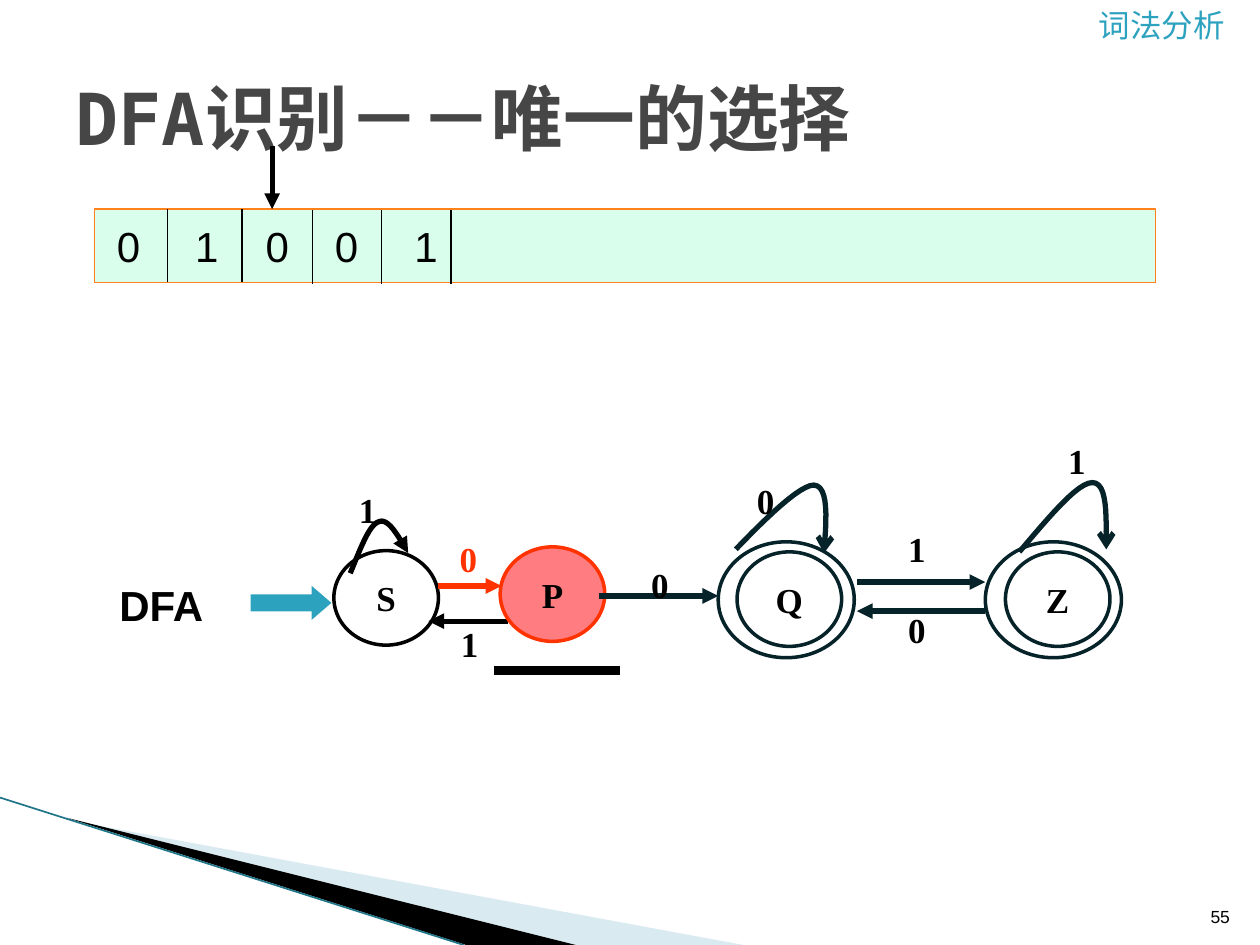
from lxml import etree
from pptx import Presentation
from pptx.dml.color import RGBColor
from pptx.enum.shapes import MSO_CONNECTOR, MSO_SHAPE
from pptx.enum.text import MSO_ANCHOR, PP_ALIGN
from pptx.oxml.ns import qn
from pptx.util import Inches, Pt

STRAIGHT = MSO_CONNECTOR.STRAIGHT
RECT, OVAL, ARROW = MSO_SHAPE.RECTANGLE, MSO_SHAPE.OVAL, MSO_SHAPE.RIGHT_ARROW
LEFT, CENTER, RIGHT = PP_ALIGN.LEFT, PP_ALIGN.CENTER, PP_ALIGN.RIGHT
TOP, MIDDLE, BOTTOM = MSO_ANCHOR.TOP, MSO_ANCHOR.MIDDLE, MSO_ANCHOR.BOTTOM
SANS, SERIF, MONO = "Arial", "Times New Roman", "DejaVu Sans Mono"
BLACK, INK, RED, TEAL, WHITE = "000000", "062329", "FF3300", "2DA2BF", "FFFFFF"

# Content: text, position, size, font, colour, bold, alignment, anchor
TEXTS = [
    ("词法分析", (8.62, 0, 1.38, 0.4), 18, SANS, TEAL, False, LEFT, TOP),
    ("55", (9.46, 7.01, 0.4, 0.4), 10, SANS, BLACK, False, RIGHT, BOTTOM),
    ("DFA识别－－唯一的选择", (0.5, 0.3, 9, 1.25), 41, MONO, "464646", True, LEFT, MIDDLE),
    ("DFA", (0.75, 4.55, 1.06, 0.5), 24, SANS, BLACK, True, CENTER, TOP),
]
# Tape: symbol, its left edge, the divider to its right and that divider's top
TAPE = [("0", 0.83, 1.33, 1.66), ("1", 1.45, 1.92, 1.66), ("0", 2.01, 2.48, 1.67),
        ("0", 2.56, 3.03, 1.67), ("1", 3.19, 3.58, 1.67)]
# States: name, left, top, fill, line, left of the outer ring if accepting
STATES = [("S", 2.65, 4.37, None, BLACK, None), ("P", 3.97, 4.34, "FF7C80", RED, None),
          ("Q", 5.85, 4.38, WHITE, INK, 5.70), ("Z", 7.98, 4.38, WHITE, INK, 7.82)]
RETURN_ARROW = ((4.03, 4.93), (3.4, 4.93), BLACK)
ARROWS = [((3.48, 4.65), (3.98, 4.65), RED), ((4.75, 4.73), (5.7, 4.73), INK),
          ((7.82, 4.85), (6.8, 4.85), INK), ((6.8, 4.62), (7.82, 4.62), INK)]
# Self loops: two joined cubic curves, colour, arrowhead
LOOPS = [
    ([(5.84, 4.36), (6.09, 4.1), (6.35, 3.85), (6.46, 3.85),
      (6.58, 3.86), (6.56, 4.12), (6.54, 4.39)], INK, "arrow"),
    ([(8.09, 4.38), (8.32, 4.11), (8.55, 3.83), (8.67, 3.83),
      (8.79, 3.83), (8.78, 4.09), (8.78, 4.36)], INK, "arrow"),
    ([(2.78, 4.55), (2.86, 4.36), (2.93, 4.16), (3.01, 4.14),
      (3.08, 4.11), (3.16, 4.25), (3.24, 4.39)], BLACK, "triangle"),
]
LABELS = [("1", 2.75, 3.83, BLACK), ("0", 3.55, 4.22, RED), ("0", 5.07, 4.42, BLACK),
          ("1", 3.56, 4.89, BLACK), ("1", 8.38, 3.44, BLACK), ("0", 5.91, 3.76, BLACK),
          ("0", 7.11, 4.78, BLACK), ("1", 7.11, 4.14, BLACK)]
# Corner decoration: outline, fill, opacity in percent
WEDGES = [([(0.55, 6.51), (5.9, 7.5), (4.56, 7.5)], "A0CBDC", 40),
          ([(0.53, 6.49), (4.57, 7.5), (3.7, 7.5)], BLACK, 100)]

deck = Presentation()
deck.slide_width, deck.slide_height = Inches(10), Inches(7.5)
page = deck.slides.add_slide(deck.slide_layouts[6])
shapes = page.shapes


def color(value):
    return RGBColor.from_string(value)


def write(box, text, size, font, tint, bold=False, align=LEFT, anchor=TOP):
    frame = box.text_frame
    frame.word_wrap, frame.vertical_anchor = True, anchor
    para = frame.paragraphs[0]
    para.text, para.alignment = text, align
    para.font.size, para.font.name, para.font.bold = Pt(size), font, bold
    para.font.color.rgb = color(tint)


def add_text(text, area, *style):
    write(shapes.add_textbox(*map(Inches, area)), text, *style)


def paint(shape, fill=None, line=None, width=2):
    shape.shadow.inherit = False
    if fill:
        shape.fill.solid()
        shape.fill.fore_color.rgb = color(fill)
    else:
        shape.fill.background()
    if line:
        shape.line.color.rgb, shape.line.width = color(line), Pt(width)
    else:
        shape.line.fill.background()
    return shape


def add_shape(kind, area, *style):
    return paint(shapes.add_shape(kind, *map(Inches, area)), *style)


def add_head(shape, kind):
    etree.SubElement(shape.line._get_or_add_ln(), qn("a:tailEnd"), type=kind)


def add_line(start, end, tint, width=3, head=None):
    line = shapes.add_connector(STRAIGHT, *map(Inches, start + end))
    line.line.color.rgb, line.line.width = color(tint), Pt(width)
    etree.SubElement(line._element.spPr, qn("a:effectLst"))
    if head:
        add_head(line, head)


def outline(points, close):
    corners = [(Inches(x), Inches(y)) for x, y in points]
    builder = shapes.build_freeform(*corners[0])
    builder.add_line_segments(corners[1:], close=close)
    return builder.convert_to_shape()


def trace(controls, steps=12):
    """Points along cubic curves that share their end points."""
    points = [controls[0]]
    for first in range(0, len(controls) - 1, 3):
        curve = controls[first:first + 4]
        for step in range(1, steps + 1):
            t = step / steps
            weights = ((1 - t) ** 3, 3 * t * (1 - t) ** 2, 3 * t * t * (1 - t), t ** 3)
            points.append(tuple(sum(w * p[axis] for w, p in zip(weights, curve))
                                for axis in (0, 1)))
    return points


# Corner decoration
for points, fill, opacity in WEDGES:
    wedge = paint(outline(points, True), fill)
    if opacity < 100:
        tone = wedge._element.spPr.find(qn("a:solidFill"))[0]
        etree.SubElement(tone, qn("a:alpha"), val=str(opacity * 1000))
add_line((0, 6.33), (3.68, 7.5), "1F7688", 0.95)

# Headings, page number and caption
for item in TEXTS:
    add_text(*item)

# Input tape with its reading head
add_shape(RECT, (0.75, 1.66, 8.42, 0.58), "DAFEEC", "FF8119", 0.75)
for symbol, left, divider, top in TAPE:
    add_line((divider, top), (divider, top + 0.58), BLACK, 0.75)
    add_text(symbol, (left, 1.7, 0.32, 0.5), 24, SANS, BLACK)
add_line((2.16, 1.16), (2.16, 1.66), BLACK, head="triangle")

# Automaton: loops and the return arrow lie behind the states
start = add_shape(ARROW, (1.99, 4.65, 0.64, 0.27), TEAL)
start.adjustments[1] = 0.58
for controls, tint, head in LOOPS:
    add_head(paint(outline(trace(controls), False), None, tint, 3), head)
add_line(*RETURN_ARROW, head="triangle")
for name, left, top, fill, line, ring in STATES:
    state = add_shape(OVAL, (left, top, 0.83, 0.75), fill, line)
    write(state, name, 20, SERIF, BLACK, True, CENTER, MIDDLE)
    if ring:
        add_shape(OVAL, (ring, 4.3, 1.08, 0.92), None, line)
for arrow in ARROWS:
    add_line(*arrow, head="triangle")
for symbol, left, top, tint in LABELS:
    add_text(symbol, (left, top, 0.34, 0.43), 20, SERIF, tint, True)

# Mark under the current state
add_line((3.92, 5.32), (4.92, 5.32), BLACK, 5)

deck.save("out.pptx")
